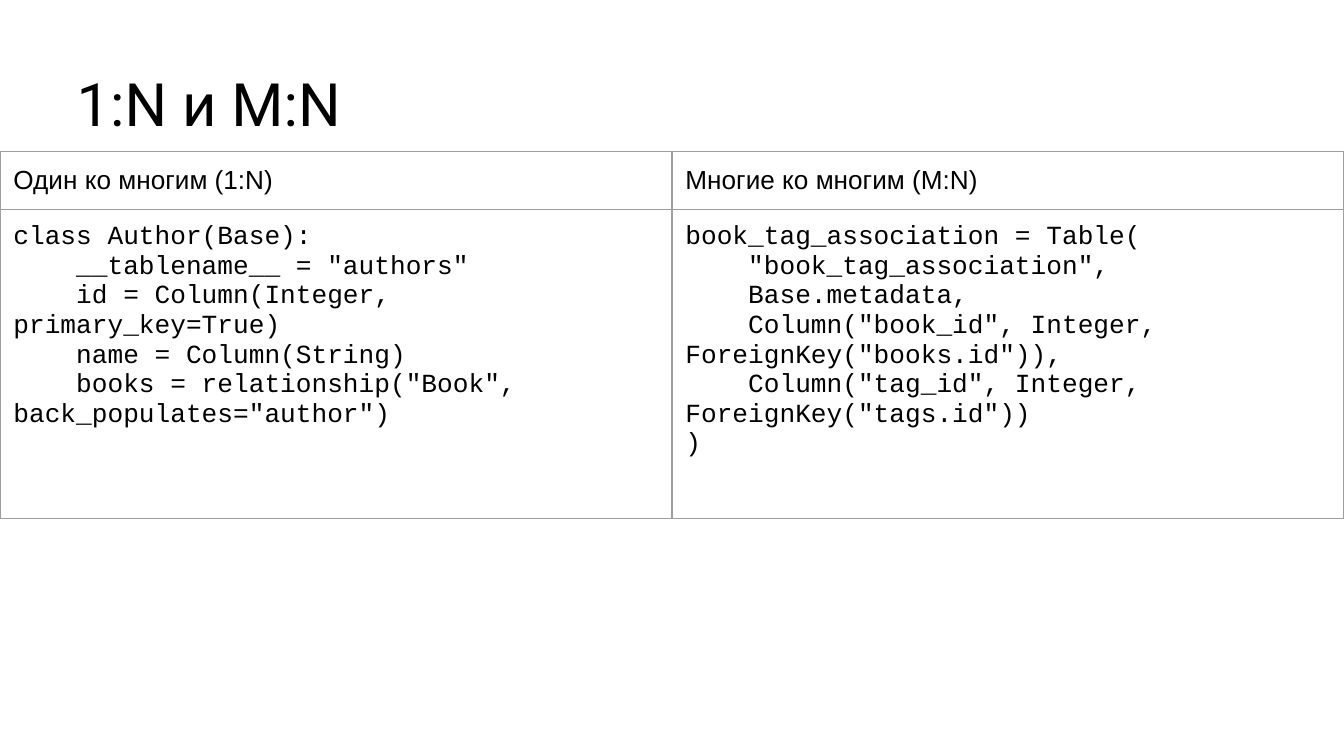
from lxml import etree
from pptx import Presentation
from pptx.dml.color import RGBColor
from pptx.enum.text import MSO_ANCHOR, PP_ALIGN
from pptx.oxml.ns import qn
from pptx.util import Inches, Pt

LEFT = PP_ALIGN.LEFT
TOP, MIDDLE = MSO_ANCHOR.TOP, MSO_ANCHOR.MIDDLE
TITLE_ONLY = 5
WIDTH = Inches(10)
HEIGHT = WIDTH * 9 // 16
INSET = Inches(0.1)
COLORS = {"text": "000000", "background": "FFFFFF", "border": "9E9E9E"}
FORMATS = {
    "title": {"name": "Roboto", "size": Pt(32)},
    "heading": {"name": "Arial", "size": Pt(14)},
    "code": {"name": "Courier New", "size": Pt(14)},
}
ROW_HEIGHTS = {"heading": Inches(0.43), "code": Inches(2.3)}

RELATIONS = [
    {
        "heading": "Один ко многим (1:N)",
        "code": '''class Author(Base):
    __tablename__ = "authors"
    id = Column(Integer, primary_key=True)
    name = Column(String)
    books = relationship("Book", back_populates="author")''',
    },
    {
        "heading": "Многие ко многим (M:N)",
        "code": '''book_tag_association = Table(
    "book_tag_association",
    Base.metadata,
    Column("book_id", Integer, ForeignKey("books.id")),
    Column("tag_id", Integer, ForeignKey("tags.id"))
)''',
    },
]


def set_insets(holder):
    """Give a cell or text frame equal insets on all sides."""
    for side in ("left", "right", "top", "bottom"):
        setattr(holder, f"margin_{side}", INSET)


def write_text(frame, text, style):
    """Write left-aligned lines in one of the named formats."""
    frame.text = text
    frame.word_wrap = True
    for line in frame.paragraphs:
        line.alignment = LEFT
        for run in line.runs:
            for attribute, value in FORMATS[style].items():
                setattr(run.font, attribute, value)
            run.font.color.rgb = RGBColor.from_string(COLORS["text"])


def outline_cell(cell):
    """Draw thin borders round a cell, ahead of its fill."""
    properties = cell._tc.get_or_add_tcPr()
    for index, edge in enumerate(("a:lnL", "a:lnR", "a:lnT", "a:lnB")):
        border = etree.Element(qn(edge), w=str(Pt(0.75)))
        fill = etree.SubElement(border, qn("a:solidFill"))
        etree.SubElement(fill, qn("a:srgbClr"), val=COLORS["border"])
        properties.insert(index, border)


def add_title(slide, text, left, top, width, height):
    """Place the slide heading in its title placeholder."""
    title = slide.shapes.title
    title.left, title.top, title.width, title.height = left, top, width, height
    write_text(title.text_frame, text, "title")
    set_insets(title.text_frame)
    title.text_frame.vertical_anchor = MIDDLE


def add_comparison(slide, relations, left, top, width):
    """Set the relations side by side, heading above code."""
    height = sum(ROW_HEIGHTS.values())
    table = slide.shapes.add_table(
        len(ROW_HEIGHTS), len(relations), left, top, width, height
    ).table
    table.first_row = table.horz_banding = False
    for row, (part, row_height) in enumerate(ROW_HEIGHTS.items()):
        table.rows[row].height = row_height
        for column, relation in enumerate(relations):
            cell = table.cell(row, column)
            write_text(cell.text_frame, relation[part], part)
            set_insets(cell)
            cell.vertical_anchor = TOP
            cell.fill.solid()
            cell.fill.fore_color.rgb = RGBColor.from_string(COLORS["background"])
            outline_cell(cell)


def main():
    """Build and save the slide on relationship types."""
    deck = Presentation()
    deck.slide_width, deck.slide_height = WIDTH, HEIGHT
    slide = deck.slides.add_slide(deck.slide_layouts[TITLE_ONLY])
    add_title(slide, "1:N и M:N", Inches(0.47), Inches(0.39),
              Inches(7.77), Inches(0.74))
    add_comparison(slide, RELATIONS, 0, Inches(1.13), WIDTH)
    deck.save("out.pptx")


if __name__ == "__main__":
    main()
